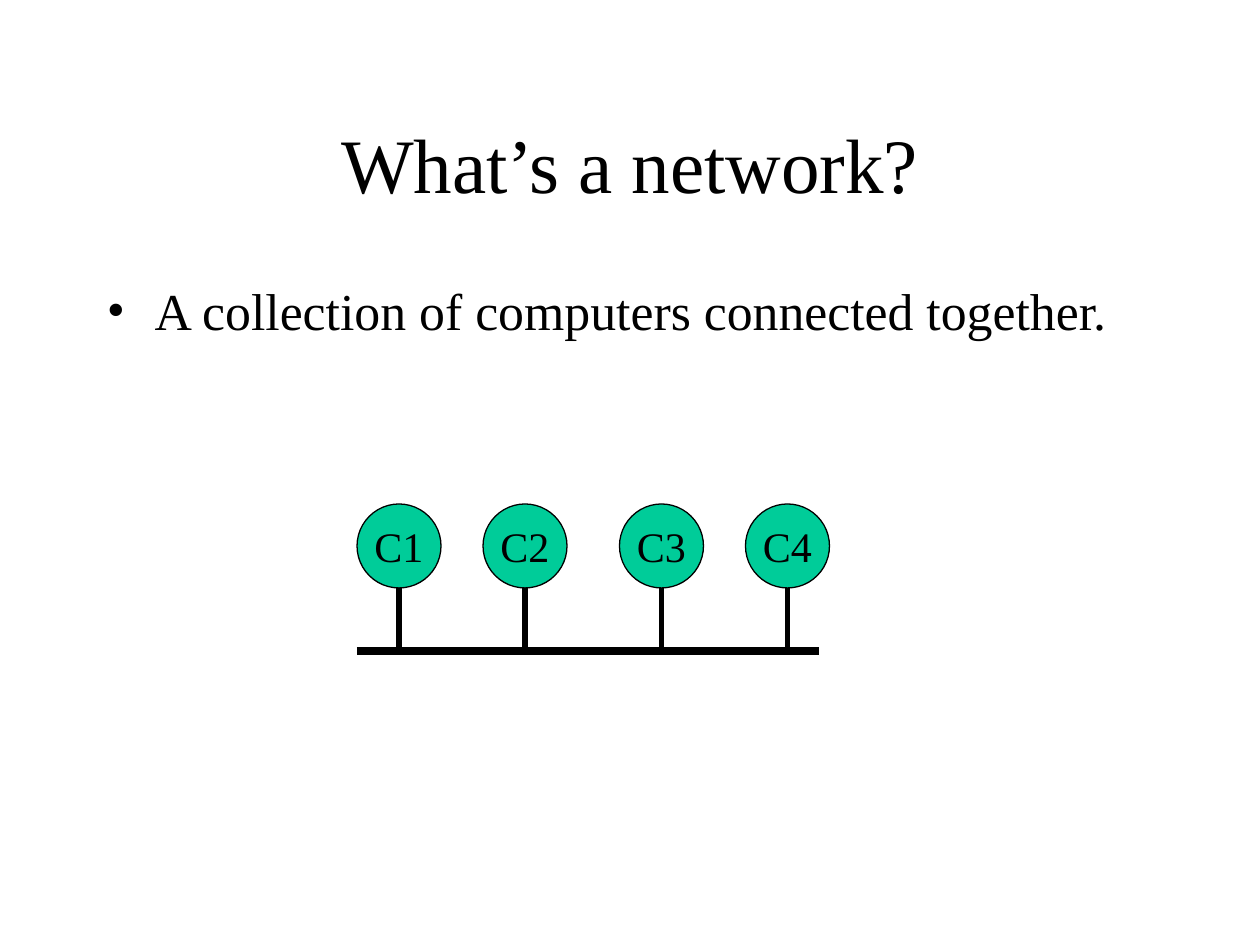
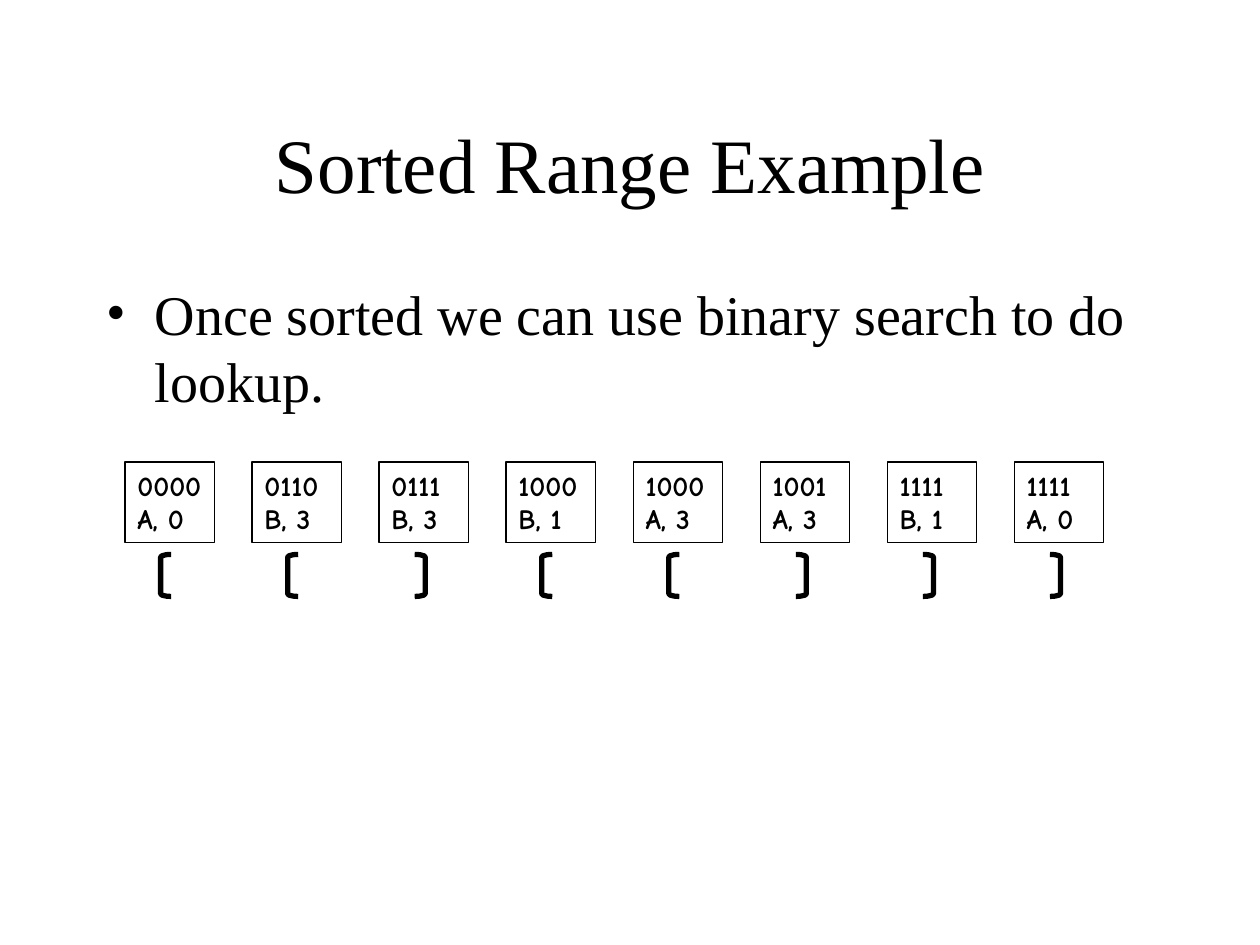
from itertools import count
from lxml.etree import SubElement
from pptx import Presentation
from pptx.dml.color import RGBColor
from pptx.enum.shapes import MSO_CONNECTOR as Connector, MSO_SHAPE as Preset
from pptx.enum.text import MSO_ANCHOR as Anchor, MSO_AUTO_SIZE as AutoSize, PP_ALIGN as Align
from pptx.oxml.ns import qn
from pptx.util import Inches, Pt

# Shared style
BLACK, WHITE, GREEN = "000000", "FFFFFF", "00CC99"
SERIF, COMIC = "Times New Roman", "Comic Neue"
TITLE_ONLY = 5

# Grid of 120 columns by 90 rows; boxes are (left, top, width, height)
COLUMNS, ROWS = 120, 90
WIDTH, HEIGHT = Inches(10), Inches(7.5)
TITLE_BOX = (9, 8, 102, 15)


def color(hex_string):
    return RGBColor.from_string(hex_string)


def across(columns):
    return round(WIDTH * columns / COLUMNS)


def down(rows):
    return round(HEIGHT * rows / ROWS)


def place(box):
    left, top, width, height = box
    return across(left), down(top), across(width), down(height)


def write(paragraph, text, size, font=SERIF, align=Align.LEFT, bold=False):
    paragraph.alignment = align
    run = paragraph.add_run()
    run.text = text
    run.font.size, run.font.name, run.font.bold = Pt(size), font, bold
    run.font.color.rgb = color(BLACK)


def add_line(slide, start, end, weight):
    line = slide.shapes.add_connector(
        Connector.STRAIGHT, across(start[0]), down(start[1]), across(end[0]), down(end[1]))
    line.line.color.rgb = color(BLACK)
    line.line.width = Pt(weight)
    SubElement(line._element.spPr, qn("a:effectLst"))


def add_outlined(slide, preset, box, fill=None, weight=0.75):
    shape = slide.shapes.add_shape(preset, *place(box))
    shape.shadow.inherit = False
    shape.line.color.rgb = color(BLACK)
    shape.line.width = Pt(weight)
    if fill:
        shape.fill.solid()
        shape.fill.fore_color.rgb = color(fill)
    else:
        shape.fill.background()
    return shape


def add_bullet(slide, box, text, size):
    frame = slide.shapes.add_textbox(*place(box)).text_frame
    frame.word_wrap = True
    paragraph = frame.paragraphs[0]
    properties = paragraph._p.get_or_add_pPr()
    properties.set("marL", str(Inches(0.38)))
    properties.set("indent", str(-Inches(0.38)))
    SubElement(properties, qn("a:buFont")).set("typeface", SERIF)
    SubElement(properties, qn("a:buChar")).set("char", "•")
    write(paragraph, text, size)


def add_slide(presentation, title_text):
    slide = presentation.slides.add_slide(presentation.slide_layouts[TITLE_ONLY])
    slide.background.fill.solid()
    slide.background.fill.fore_color.rgb = color(WHITE)
    title = slide.shapes.title
    title.left, title.top, title.width, title.height = place(TITLE_BOX)
    frame = title.text_frame
    frame.word_wrap, frame.auto_size = True, AutoSize.NONE
    frame.vertical_anchor = Anchor.MIDDLE
    write(frame.paragraphs[0], title_text, 44, align=Align.CENTER)
    return slide


def add_bus(slide, box, computer_offsets):
    """Computers along the top of the box, wired to a bus on its bottom edge."""
    left, top, width, height = box
    diameter, bottom = 8, top + height
    for number, offset in zip(count(1), computer_offsets):
        computer = add_outlined(
            slide, Preset.OVAL, (left + offset, top, diameter, diameter), GREEN)
        frame = computer.text_frame
        frame.word_wrap, frame.vertical_anchor = False, Anchor.MIDDLE
        write(frame.paragraphs[0], f"C{number}", 24, align=Align.CENTER)
        center = left + offset + diameter / 2
        add_line(slide, (center, top + diameter), (center, bottom), 3)
    add_line(slide, (left, bottom), (left + width, bottom), 4.5)


def add_range_cards(slide, box, endpoints):
    """A row of endpoint cards, each with its range bracket below."""
    left, top, width, height = box
    card_width, card_height = 8.5, 7.7
    bracket_width, bracket_height = 1, 4
    pitch = (width - card_width) / (len(endpoints) - 1)
    for index, (bits, label, side) in enumerate(endpoints):
        card_left = left + index * pitch
        card = add_outlined(slide, Preset.RECTANGLE, (card_left, top, card_width, card_height))
        frame = card.text_frame
        # A narrow right inset keeps the widest bits on one line
        frame.word_wrap, frame.auto_size = True, AutoSize.NONE
        frame.margin_right = Inches(0.02)
        frame.vertical_anchor = Anchor.TOP
        write(frame.paragraphs[0], bits, 16, COMIC, bold=True)
        write(frame.add_paragraph(), label, 16, COMIC, bold=True)
        bracket = add_outlined(
            slide, side,
            (card_left + 3.4, top + height - bracket_height, bracket_width, bracket_height),
            weight=3)
        bracket.adjustments[0] = 0.25


def build_network(presentation):
    slide = add_slide(presentation, "What’s a network?")
    add_bullet(slide, (9, 26, 102, 14), "A collection of computers connected together.", 29.6)
    add_bus(slide, (34, 48, 44, 14), (0, 12, 25, 37))


def build_sorted_range(presentation):
    slide = add_slide(presentation, "Sorted Range Example")
    add_bullet(slide, (9, 26, 102, 18),
               "Once sorted we can use binary search to do lookup.", 32)
    opening, closing = Preset.LEFT_BRACKET, Preset.RIGHT_BRACKET
    add_range_cards(slide, (11.9, 44, 93.2, 12.8), [
        ("0000", "A, 0", opening),
        ("0110", "B, 3", opening),
        ("0111", "B, 3", closing),
        ("1000", "B, 1", opening),
        ("1000", "A, 3", opening),
        ("1001", "A, 3", closing),
        ("1111", "B, 1", closing),
        ("1111", "A, 0", closing),
    ])


def main():
    presentation = Presentation()
    presentation.slide_width, presentation.slide_height = WIDTH, HEIGHT
    build_network(presentation)
    build_sorted_range(presentation)
    presentation.save("out.pptx")


if __name__ == "__main__":
    main()
